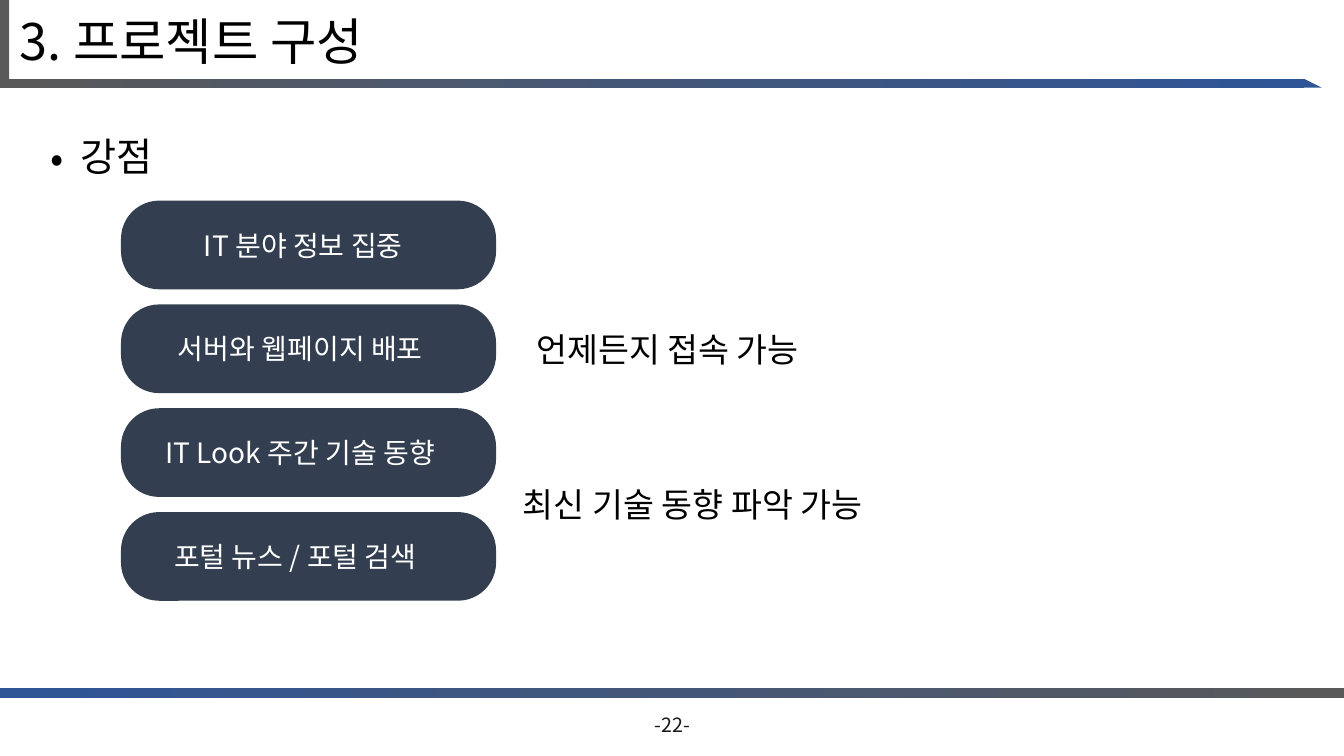
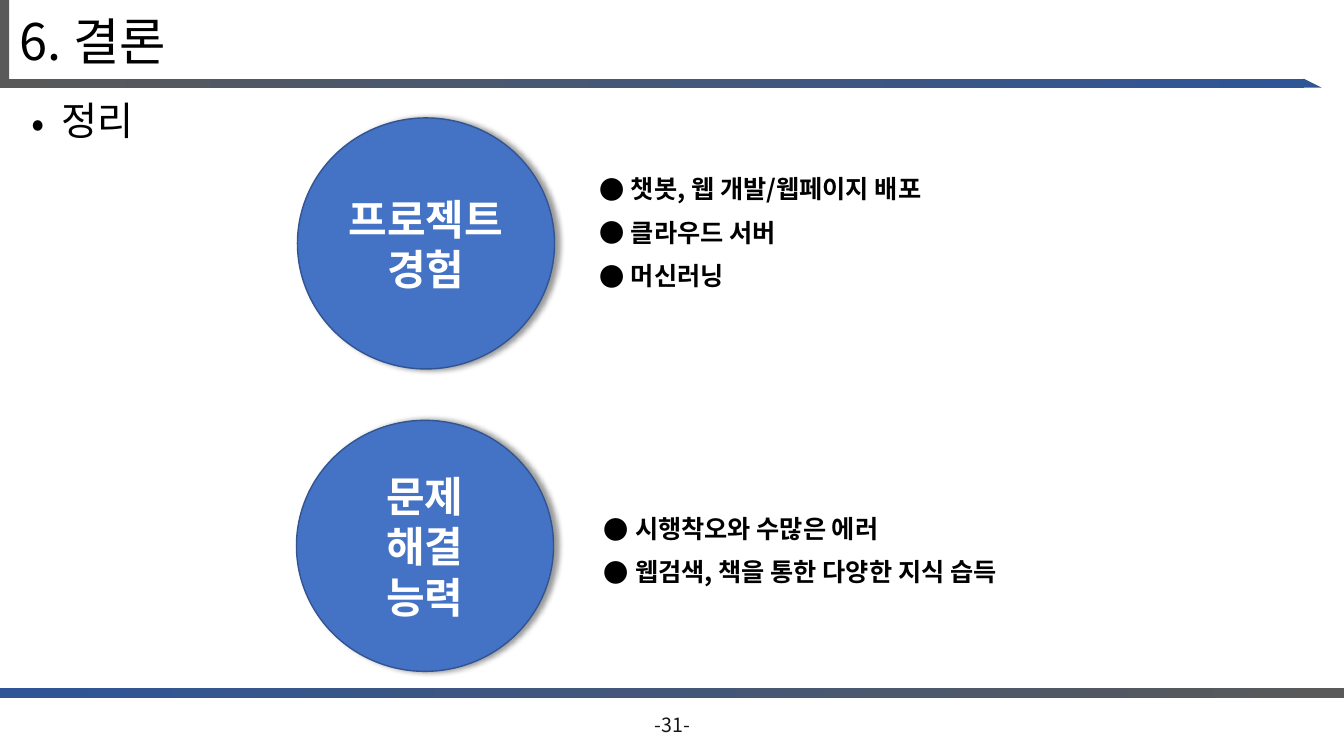
from dataclasses import dataclass, field
from typing import Any

from lxml.etree import SubElement
from pptx import Presentation
from pptx.dml.color import RGBColor as Color
from pptx.enum.shapes import MSO_SHAPE as Preset
from pptx.enum.text import MSO_ANCHOR as Anchor, PP_ALIGN as Align
from pptx.oxml.ns import qn
from pptx.util import Pt

PIXEL = 9144


@dataclass(frozen=True)
class Theme:
    font: str = "Noto Sans CJK KR"
    black: str = "000000"
    white: str = "FFFFFF"
    gray: str = "595959"
    blue: str = "2F5597"
    navy: str = "333F50"
    circle: str = "4472C4"
    circle_line: str = "325491"
    footer: str = "181717"
    title_size: int = 36
    circle_size: int = 30
    heading_size: int = 28
    note_size: int = 24
    pill_size: int = 20
    item_size: int = 18
    footer_size: int = 14


THEME = Theme()


@dataclass(frozen=True)
class Box:
    left: int
    top: int
    width: int
    height: int

    def emu(self) -> list[int]:
        return [value * PIXEL for value in (self.left, self.top, self.width, self.height)]


@dataclass(frozen=True)
class TextStyle:
    size: int
    color: str = THEME.black
    bold: bool = False
    anchor: Anchor = Anchor.MIDDLE
    bullet: str = ""
    margin: int = 0
    hanging: int = 0
    paragraph: dict[str, Any] = field(default_factory=dict)


@dataclass(frozen=True)
class Pill:
    text: str
    right_pad: int


@dataclass(frozen=True)
class Label:
    box: Box
    text: str


@dataclass(frozen=True)
class Topic:
    circle: Box
    name: list[str]
    items_box: Box
    items: list[str]


CENTERED = {"alignment": Align.CENTER}
TITLE = TextStyle(THEME.title_size, paragraph={"line_spacing": 0.9})
FOOTER = TextStyle(THEME.footer_size, THEME.footer, paragraph=CENTERED)
HEADING = TextStyle(THEME.heading_size, anchor=Anchor.TOP, bullet="•", margin=30, hanging=30)
PILL = TextStyle(THEME.pill_size, THEME.white, paragraph=CENTERED)
NOTE = TextStyle(THEME.note_size, paragraph=CENTERED)
CIRCLE = TextStyle(THEME.circle_size, THEME.white, bold=True, paragraph=CENTERED)
ITEM = TextStyle(
    THEME.item_size, bold=True, anchor=Anchor.TOP, bullet="●", margin=81, hanging=31,
    paragraph={"alignment": Align.JUSTIFY, "line_spacing": 1.07, "space_after": Pt(8)},
)

PILL_BOX = Box(120, 199, 372, 88)
PILL_PITCH = 103
PILLS = [
    Pill("IT 분야 정보 집중", 10),
    Pill("서버와 웹페이지 배포", 16),
    Pill("IT Look 주간 기술 동향", 16),
    Pill("포털 뉴스 / 포털 검색", 26),
]
NOTES = [
    Label(Box(465, 475, 444, 50), "최신 기술 동향 파악 가능"),
    Label(Box(517, 321, 290, 50), "언제든지 접속 가능"),
]
TOPICS = [
    Topic(
        Box(295, 117, 255, 249), ["프로젝트", "경험"], Box(535, 165, 442, 129),
        ["챗봇, 웹 개발/웹페이지 배포", "클라우드 서버", "머신러닝"],
    ),
    Topic(
        Box(294, 417, 255, 249), ["문제 해결 능력"], Box(539, 502, 464, 86),
        ["시행착오와 수많은 에러", "웹검색, 책을 통한 다양한 지식 습득"],
    ),
]


def apply(target: Any, values: dict[str, Any]) -> None:
    for name, value in values.items():
        setattr(target, name, value)


def write(shape: Any, lines: list[str], style: TextStyle, right_pad: int = 0) -> None:
    frame = shape.text_frame
    apply(frame, {
        "word_wrap": True,
        "vertical_anchor": style.anchor,
        "margin_left": 10 * PIXEL,
        "margin_right": (10 + right_pad) * PIXEL,
        "margin_top": 5 * PIXEL,
        "margin_bottom": 5 * PIXEL,
    })
    for index, line in enumerate(lines):
        paragraph = frame.add_paragraph() if index else frame.paragraphs[0]
        apply(paragraph, {"alignment": Align.LEFT, **style.paragraph})
        if style.bullet:
            properties = paragraph._p.get_or_add_pPr()
            properties.set("marL", str(style.margin * PIXEL))
            properties.set("indent", str(-style.hanging * PIXEL))
            SubElement(properties, qn("a:buFont"), typeface=THEME.font)
            SubElement(properties, qn("a:buChar"), char=style.bullet)
        run = paragraph.add_run()
        run.text = line
        apply(run.font, {"name": THEME.font, "size": Pt(style.size), "bold": style.bold})
        run.font.color.rgb = Color.from_string(style.color)
        SubElement(run._r.get_or_add_rPr(), qn("a:ea"), typeface=THEME.font)


def add_text(slide: Any, box: Box, lines: list[str], style: TextStyle) -> None:
    write(slide.shapes.add_textbox(*box.emu()), lines, style)


def add_shape(slide: Any, preset: Preset, box: Box, *colors: str) -> Any:
    shape = slide.shapes.add_shape(preset, *box.emu())
    shape.shadow.inherit = False
    shape.line.fill.background()
    if len(colors) == 1:
        shape.fill.solid()
        shape.fill.fore_color.rgb = Color.from_string(colors[0])
    else:
        shape.fill.gradient()
        shape.fill.gradient_angle = 0
        for stop, color, position in zip(shape.fill.gradient_stops, colors, (0, 1)):
            stop.color.rgb = Color.from_string(color)
            stop.position = position
    return shape


def add_shadow(shape: Any) -> None:
    effects = shape._element.spPr.find(qn("a:effectLst"))
    shadow = SubElement(
        effects, qn("a:outerShdw"), blurRad=str(Pt(4)), dist=str(Pt(3)),
        dir="0", algn="l", rotWithShape="0",
    )
    color = SubElement(shadow, qn("a:srgbClr"), val=THEME.black)
    SubElement(color, qn("a:alpha"), val="40000")


def add_base_slide(presentation: Any, title: str, number: int, heading: Label) -> Any:
    slide = presentation.slides.add_slide(presentation.slide_layouts[6])
    add_shape(slide, Preset.RECTANGLE, Box(0, 78, 1293, 9), THEME.gray, THEME.blue)
    add_shape(slide, Preset.RECTANGLE, Box(0, 0, 9, 87), THEME.gray)
    add_shape(slide, Preset.RIGHT_TRIANGLE, Box(1293, 78, 18, 9), THEME.blue)
    add_shape(slide, Preset.RECTANGLE, Box(0, 683, 1333, 9), THEME.blue, THEME.gray)
    add_text(slide, Box(10, 4, 1074, 80), [title], TITLE)
    add_text(slide, Box(517, 699, 300, 40), [f"-{number}-"], FOOTER)
    add_text(slide, heading.box, [heading.text], HEADING)
    return slide


def add_strengths(presentation: Any) -> None:
    heading = Label(Box(40, 126, 173, 57), "강점")
    slide = add_base_slide(presentation, "3. 프로젝트 구성", 22, heading)
    for index, pill in enumerate(PILLS):
        box = Box(PILL_BOX.left, PILL_BOX.top + index * PILL_PITCH, PILL_BOX.width, PILL_BOX.height)
        shape = add_shape(slide, Preset.ROUNDED_RECTANGLE, box, THEME.navy)
        shape.adjustments[0] = 0.43
        write(shape, [pill.text], PILL, pill.right_pad)
    for note in NOTES:
        add_text(slide, note.box, [note.text], NOTE)


def add_conclusion(presentation: Any) -> None:
    heading = Label(Box(21, 91, 627, 57), "정리")
    slide = add_base_slide(presentation, "6. 결론", 31, heading)
    for topic in TOPICS:
        circle = add_shape(slide, Preset.OVAL, topic.circle, THEME.circle)
        circle.line.color.rgb = Color.from_string(THEME.circle_line)
        circle.line.width = Pt(1)
        add_shadow(circle)
        write(circle, topic.name, CIRCLE)
        add_text(slide, topic.items_box, topic.items, ITEM)


def main() -> None:
    presentation = Presentation()
    apply(presentation, {"slide_width": 1333 * PIXEL, "slide_height": 750 * PIXEL})
    add_strengths(presentation)
    add_conclusion(presentation)
    presentation.save("out.pptx")


if __name__ == "__main__":
    main()
